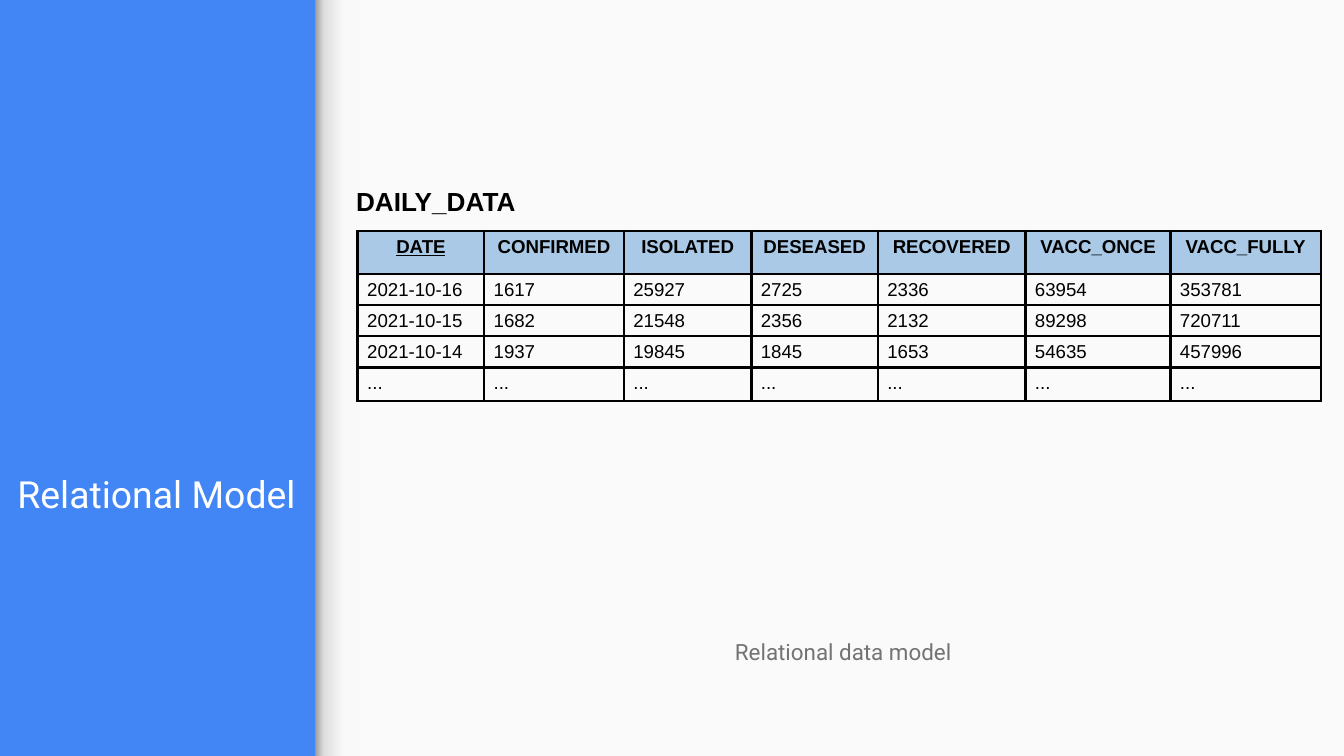
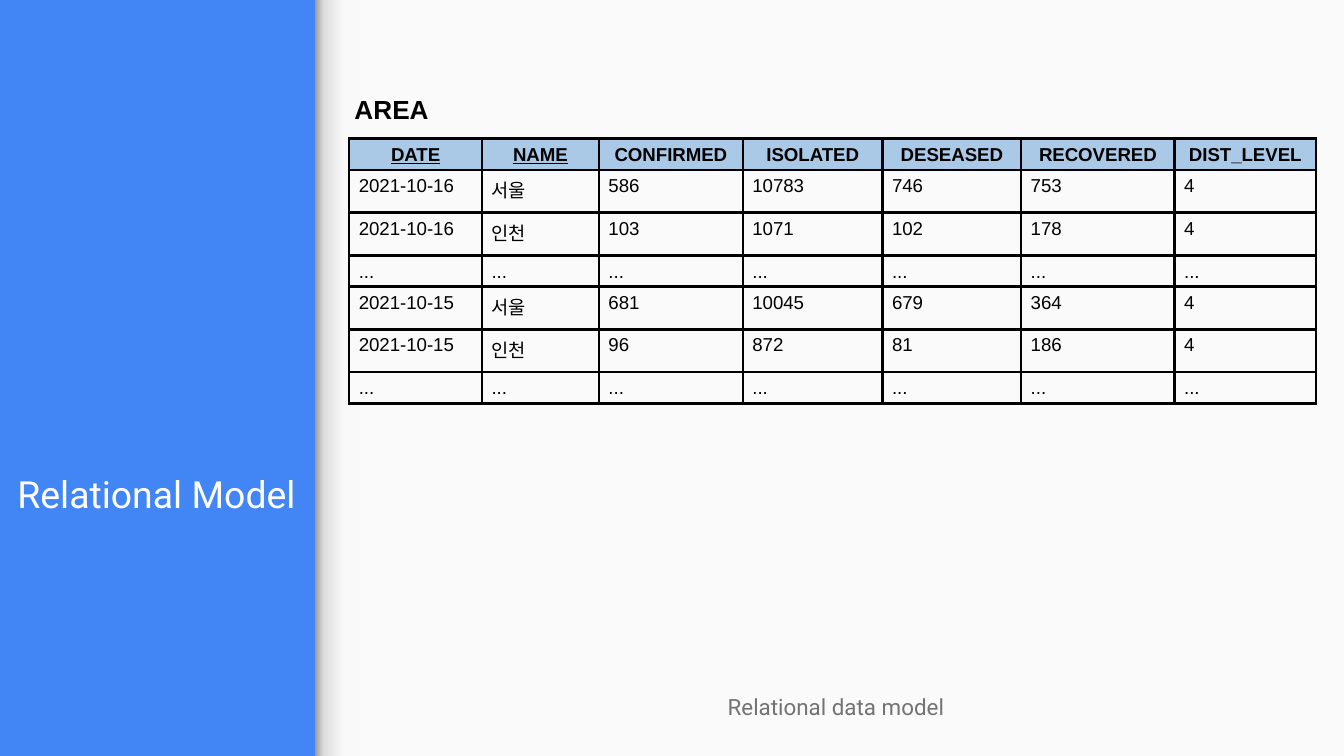
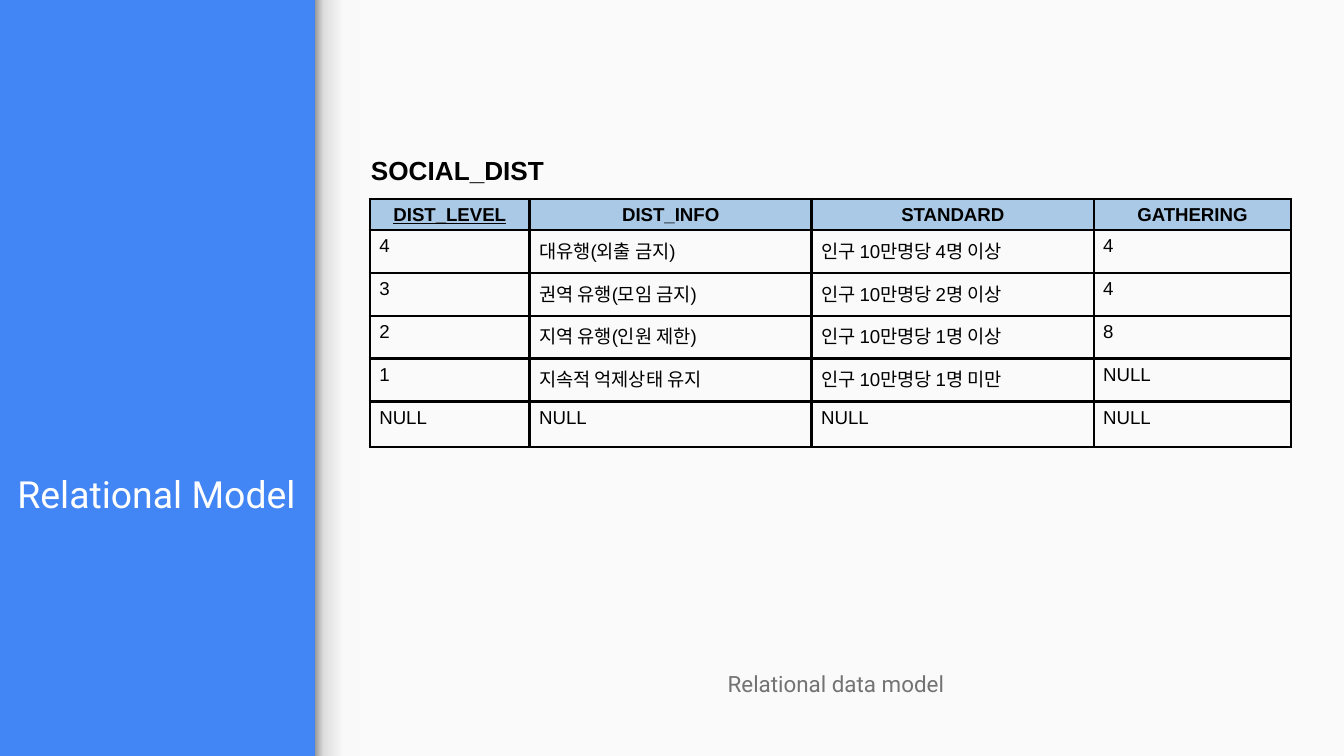
"""Build three slides that show the tables of a relational data model."""
import lxml.etree
import pptx
import pptx.dml.color
import pptx.enum.dml
import pptx.enum.shapes
import pptx.enum.text
import pptx.oxml.ns
import pptx.util

Cm = pptx.util.Cm
Pt = pptx.util.Pt
qn = pptx.oxml.ns.qn
ALIGN = pptx.enum.text.PP_ALIGN
ANCHOR = pptx.enum.text.MSO_ANCHOR
AUTO_SIZE = pptx.enum.text.MSO_AUTO_SIZE

COLORS = {
    "band": "4285F4",
    "panel": "FAFAFA",
    "title": "FFFFFF",
    "caption": "737373",
    "ink": "000000",
    "header": "A9C9E6",
}
EDGE_STOPS = [(0, "F9F9F9"), (36, "F9F9F9"), (80, "DEDEDE"), (100, "999999")]

TITLE = "Relational Model"
CAPTION = "Relational data model"
RELATIONS = [
    {
        "name": "DAILY_DATA",
        "keys": 1,
        "columns": ["DATE", "CONFIRMED", "ISOLATED", "DESEASED", "RECOVERED", "VACC_ONCE", "VACC_FULLY"],
        "records": [
            ["2021-10-16", "1617", "25927", "2725", "2336", "63954", "353781"],
            ["2021-10-15", "1682", "21548", "2356", "2132", "89298", "720711"],
            ["2021-10-14", "1937", "19845", "1845", "1653", "54635", "457996"],
            ["..."] * 7,
        ],
        "widths": [2.39, 2.64, 2.41, 2.39, 2.79, 2.74, 2.84],
        "heights": [0.81, 0.48, 0.48, 0.48, 0.64],
        "name_at": (6.48, 3.25),
        "table_at": (6.76, 4.37),
        "caption_box": (13.64, 11.73, 5.56, 1.22),
        "caption_align": ALIGN.LEFT,
    },
    {
        "name": "AREA",
        "keys": 2,
        "columns": ["DATE", "NAME", "CONFIRMED", "ISOLATED", "DESEASED", "RECOVERED", "DIST_LEVEL"],
        "records": [
            ["2021-10-16", "서울", "586", "10783", "746", "753", "4"],
            ["2021-10-16", "인천", "103", "1071", "102", "178", "4"],
            ["..."] * 7,
            ["2021-10-15", "서울", "681", "10045", "679", "364", "4"],
            ["2021-10-15", "인천", "96", "872", "81", "186", "4"],
            ["..."] * 7,
        ],
        "widths": [2.51, 2.21, 2.72, 2.64, 2.62, 2.9, 2.67],
        "heights": [0.48, 0.81, 0.81, 0.48, 0.81, 0.81, 0.48],
        "name_at": (6.45, 1.52),
        "table_at": (6.6, 2.62),
        "caption_box": (7.34, 12.78, 16.92, 1.22),
        "caption_align": ALIGN.CENTER,
    },
    {
        "name": "SOCIAL_DIST",
        "keys": 1,
        "columns": ["DIST_LEVEL", "DIST_INFO", "STANDARD", "GATHERING"],
        "records": [
            ["4", "대유행(외출 금지)", "인구 10만명당 4명 이상", "4"],
            ["3", "권역 유행(모임 금지)", "인구 10만명당 2명 이상", "4"],
            ["2", "지역 유행(인원 제한)", "인구 10만명당 1명 이상", "8"],
            ["1", "지속적 억제상태 유지", "인구 10만명당 1명 미만", "NULL"],
            ["NULL"] * 4,
        ],
        "widths": [3.02, 5.33, 5.33, 3.73],
        "heights": [0.48, 0.81, 0.81, 0.81, 0.81, 0.86],
        "name_at": (6.76, 2.67),
        "table_at": (6.99, 3.76),
        "caption_box": (7.34, 12.34, 16.92, 1.22),
        "caption_align": ALIGN.CENTER,
    },
]

SLIDE_WIDTH, SLIDE_HEIGHT = 25.4, 14.29
PANEL_LEFT = 6.25
EDGE_CENTER, EDGE_WIDTH = 6.38, 0.86
TITLE_BOX = (0, 7.37, 5.92, 2.64)
NAME_SIZE = (8.33, 1.12)
BORDER_SIDES = ("a:lnL", "a:lnR", "a:lnT", "a:lnB")


def rgb(color):
    return pptx.dml.color.RGBColor.from_string(COLORS[color])


def place(shape, box):
    shape.left, shape.top, shape.width, shape.height = map(Cm, box)


def write(frame, text, size, font, color, align=ALIGN.LEFT, bold=False, underline=False,
          line=1.0, before=0, after=0):
    frame.text = text
    paragraph = frame.paragraphs[0]
    paragraph.alignment = align
    paragraph.line_spacing = line
    paragraph.space_before, paragraph.space_after = Pt(before), Pt(after)
    style = paragraph.runs[0].font
    style.name, style.size = font, Pt(size)
    style.bold, style.underline = bold, underline
    style.color.rgb = rgb(color)


def set_frame(frame, anchor=ANCHOR.TOP, auto_size=AUTO_SIZE.NONE):
    frame.word_wrap = True
    frame.auto_size = auto_size
    frame.vertical_anchor = anchor
    frame.margin_left = frame.margin_right = Cm(0.25)
    frame.margin_top = frame.margin_bottom = Cm(0.25)


def add_backdrop(layout, slide):
    """Draw the panel and its shaded edge, then hand them to the layout."""
    layout.background.fill.solid()
    layout.background.fill.fore_color.rgb = rgb("band")
    rectangle = pptx.enum.shapes.MSO_SHAPE.RECTANGLE

    panel = slide.shapes.add_shape(
        rectangle, Cm(PANEL_LEFT), 0, Cm(SLIDE_WIDTH - PANEL_LEFT), Cm(SLIDE_HEIGHT))
    panel.fill.solid()
    panel.fill.fore_color.rgb = rgb("panel")

    edge = slide.shapes.add_shape(
        rectangle, Cm(EDGE_CENTER - SLIDE_HEIGHT / 2), Cm((SLIDE_HEIGHT - EDGE_WIDTH) / 2),
        Cm(SLIDE_HEIGHT), Cm(EDGE_WIDTH))
    edge.rotation = 270
    edge.fill.gradient()
    edge.fill.gradient_angle = 90
    stops = next(edge.element.iter(qn("a:gsLst")))
    for stop in list(stops):
        stops.remove(stop)
    for position, color in EDGE_STOPS:
        stop = lxml.etree.SubElement(stops, qn("a:gs"), pos=str(position * 1000))
        lxml.etree.SubElement(stop, qn("a:srgbClr"), val=color)

    for index, part in enumerate((panel, edge), start=2):
        part.line.fill.background()
        part.shadow.inherit = False
        layout.shapes.element.insert(index, part.element)


def add_borders(cell):
    properties = cell._tc.get_or_add_tcPr()
    for index, side in enumerate(BORDER_SIDES):
        border = lxml.etree.Element(qn(side), w=str(Pt(1.5)))
        fill = lxml.etree.SubElement(border, qn("a:solidFill"))
        lxml.etree.SubElement(fill, qn("a:srgbClr"), val=COLORS["ink"])
        properties.insert(index, border)


def add_relation(slide, relation):
    name = slide.shapes.add_textbox(*map(Cm, relation["name_at"] + NAME_SIZE))
    set_frame(name.text_frame, auto_size=AUTO_SIZE.SHAPE_TO_FIT_TEXT)
    write(name.text_frame, relation["name"], 14, "Arial", "ink", bold=True)

    rows = [relation["columns"]] + relation["records"]
    widths, heights = relation["widths"], relation["heights"]
    table = slide.shapes.add_table(
        len(rows), len(widths), *map(Cm, relation["table_at"]),
        Cm(sum(widths)), Cm(sum(heights))).table
    table.first_row = table.horz_banding = False
    for column, width in zip(table.columns, widths):
        column.width = Cm(width)
    for row, height in zip(table.rows, heights):
        row.height = Cm(height)

    for r, values in enumerate(rows):
        is_header = r == 0
        for c, value in enumerate(values):
            cell = table.cell(r, c)
            cell.margin_left = cell.margin_right = Cm(0.18)
            cell.margin_top = cell.margin_bottom = Cm(0.05)
            cell.fill.solid()
            cell.fill.fore_color.rgb = rgb("header" if is_header else "panel")
            add_borders(cell)
            write(cell.text_frame, value, 10, "Arial", "ink",
                  ALIGN.CENTER if is_header else ALIGN.LEFT, bold=is_header,
                  underline=is_header and c < relation["keys"],
                  line=1.15, before=12, after=12)


def fill_placeholders(slide, relation):
    title, caption = slide.shapes.title, slide.placeholders[1]
    place(title, TITLE_BOX)
    set_frame(title.text_frame, ANCHOR.BOTTOM)
    write(title.text_frame, TITLE, 20, "Roboto", "title", ALIGN.CENTER, after=16)

    place(caption, relation["caption_box"])
    set_frame(caption.text_frame)
    write(caption.text_frame, CAPTION, 12, "Roboto", "caption",
          relation["caption_align"], line=1.15, after=16)
    properties = caption.text_frame.paragraphs[0]._p.get_or_add_pPr()
    properties.set("marL", "0")
    properties.set("indent", "0")
    lxml.etree.SubElement(properties, qn("a:buNone"))


def main():
    deck = pptx.Presentation()
    deck.slide_width, deck.slide_height = Cm(SLIDE_WIDTH), Cm(SLIDE_HEIGHT)
    layout = deck.slide_layouts[1]
    for relation in RELATIONS:
        slide = deck.slides.add_slide(layout)
        if relation is RELATIONS[0]:
            add_backdrop(layout, slide)
        fill_placeholders(slide, relation)
        add_relation(slide, relation)
    deck.save("out.pptx")


if __name__ == "__main__":
    main()
